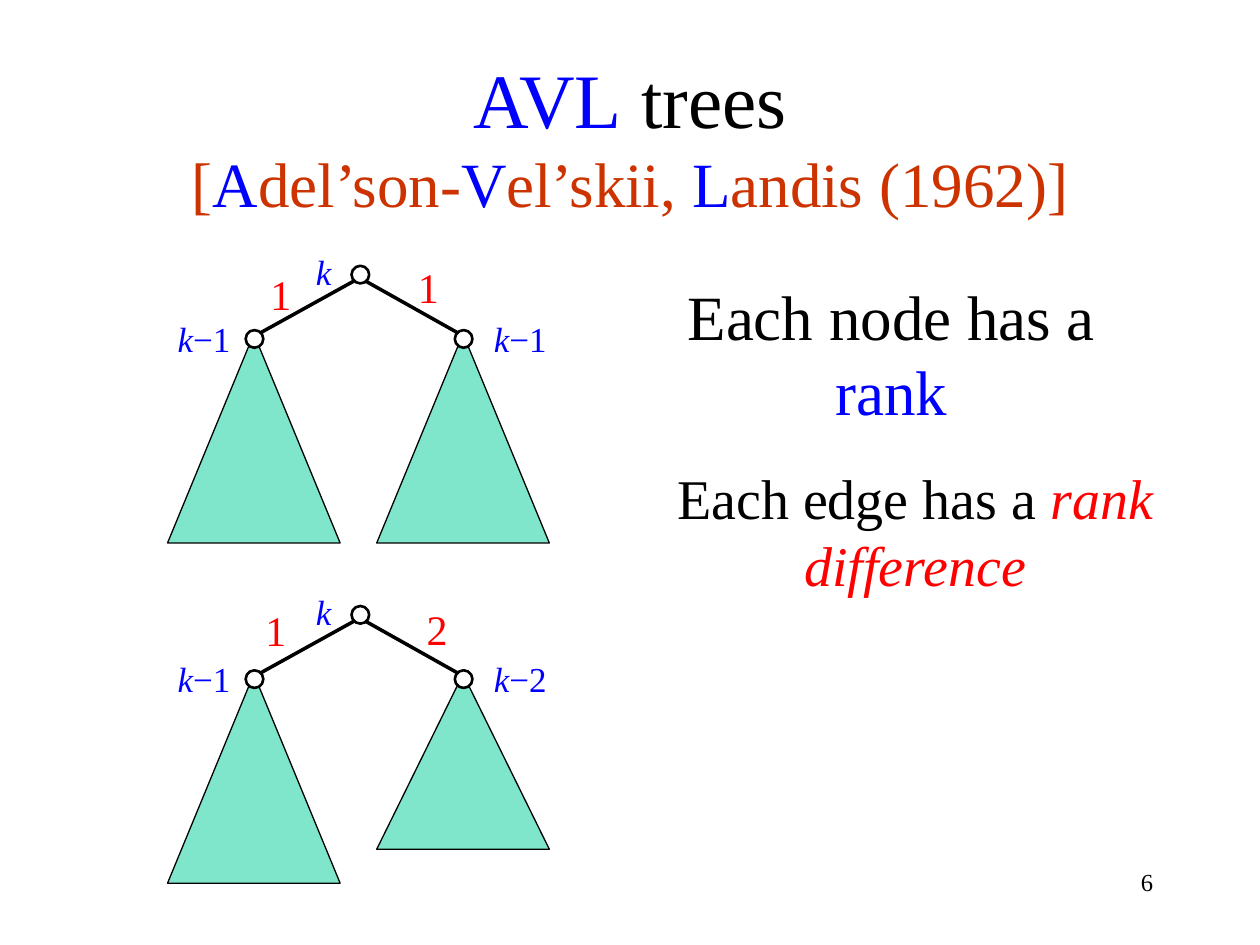
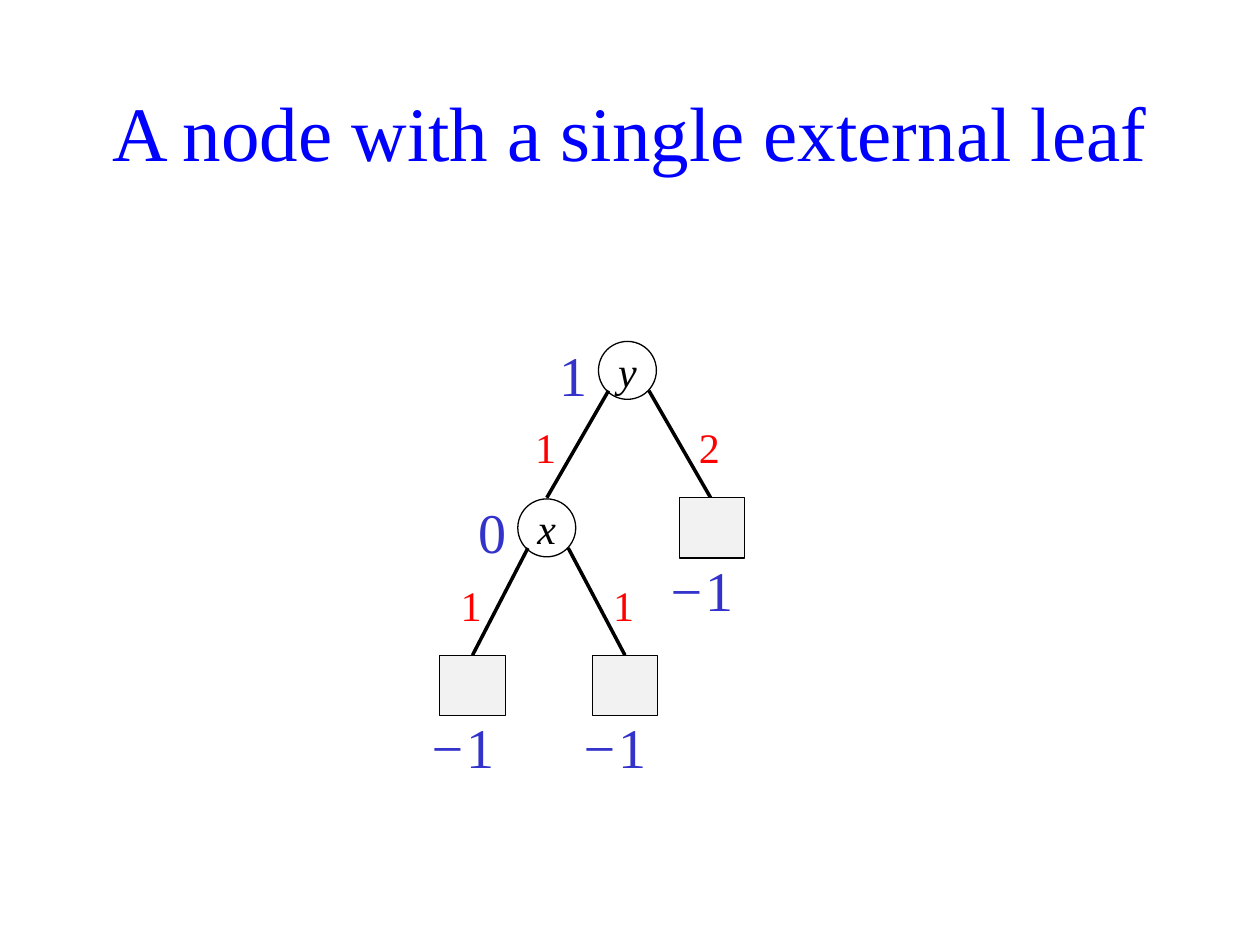
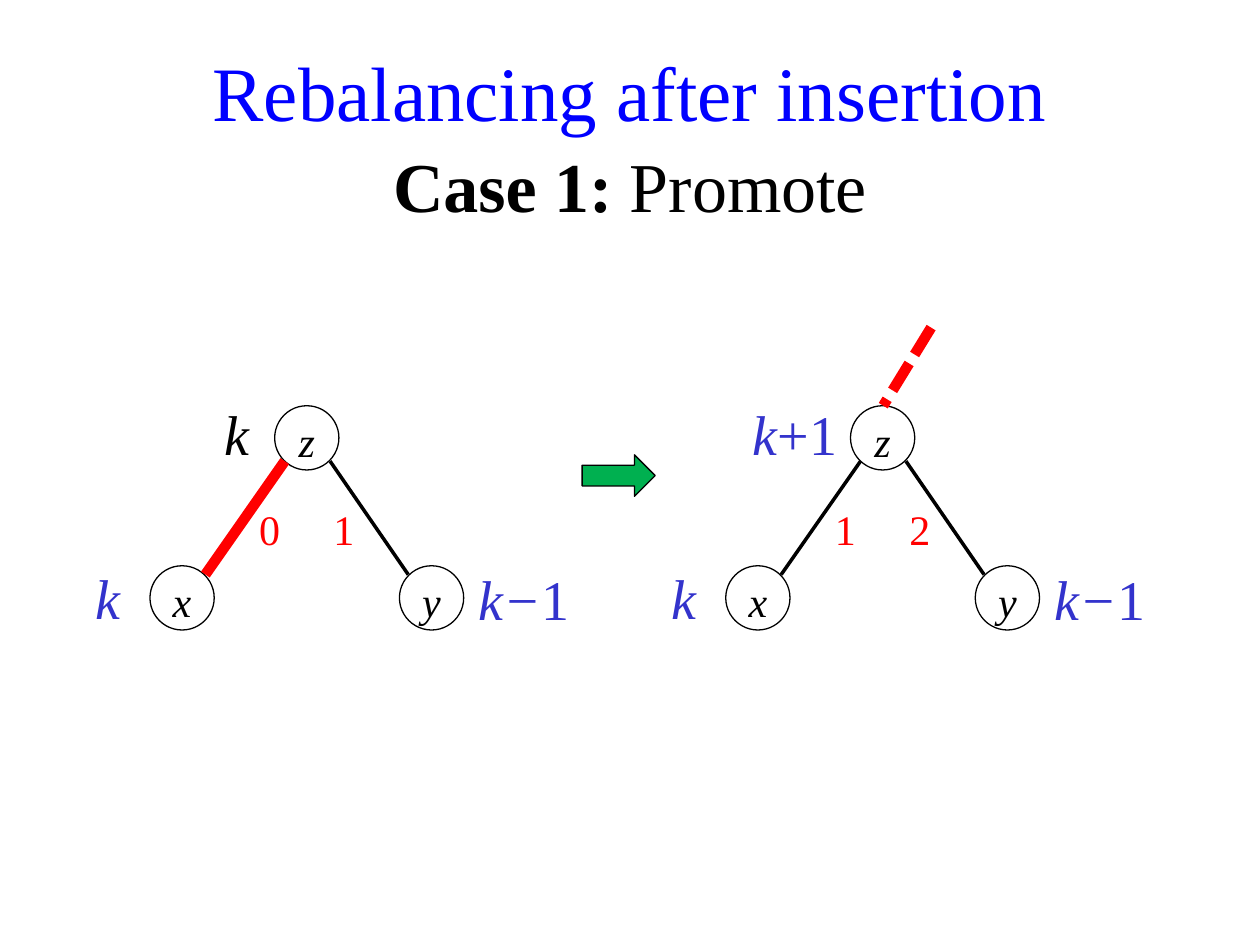
from dataclasses import dataclass
from itertools import groupby

from lxml import etree
from pptx import Presentation
from pptx.dml.color import RGBColor
from pptx.enum.dml import MSO_LINE
from pptx.enum.shapes import MSO_CONNECTOR, MSO_SHAPE
from pptx.enum.text import MSO_ANCHOR, MSO_AUTO_SIZE, PP_ALIGN
from pptx.oxml.ns import qn
from pptx.util import Inches, Pt


@dataclass(frozen=True)
class Theme:
    font: str = "Times New Roman"
    black: str = "000000"
    white: str = "FFFFFF"
    blue: str = "0000FF"
    rank: str = "3333CC"
    red: str = "FF0000"
    brick: str = "CC3300"
    subtree: str = "00CC99"
    leaf: str = "F2F2F2"
    arrow: str = "00B050"
    title: int = 44
    subtitle: int = 40
    statement: int = 36
    large: int = 32
    medium: int = 24
    small: int = 20
    footer: int = 14
    outline: float = 0.75
    ring: float = 1.5
    edge: float = 2
    heavy_edge: float = 6


THEME = Theme()


def box(left, top, width, height):
    return [Inches(length) for length in (left, top, width, height)]


def write(frame, runs, size, color=THEME.black, align=PP_ALIGN.CENTER):
    """Fill a frame with (text, format) runs; a line feed becomes a line break."""
    paragraph = frame.paragraphs[0]
    paragraph.alignment = align
    for text, changes in runs:
        if text == "\n":
            paragraph.add_line_break()
            continue
        run = paragraph.add_run()
        run.text = text
        values = {"name": THEME.font, "size": size, "color": color, **changes}
        run.font.color.rgb = RGBColor.from_string(values.pop("color"))
        values["size"] = Pt(values["size"])
        for attribute, value in values.items():
            setattr(run.font, attribute, value)


def math(text, italic="k−"):
    """Split a formula into upright and italic runs."""
    return [("".join(part), {"italic": slanted})
            for slanted, part in groupby(text, lambda symbol: symbol in italic)]


def add_text(shapes, bounds, runs, size, color=THEME.black, align=PP_ALIGN.CENTER):
    frame = shapes.add_textbox(*box(*bounds)).text_frame
    frame.word_wrap = True
    write(frame, runs, size, color, align)


def add_label(shapes, center, top, runs, size, color, width=0.64):
    height = round(size * 1.2 / 72 + 0.1, 2)
    add_text(shapes, (center - width / 2, top, width, height), runs, size, color)


def add_title(slide, top, height, runs):
    title = slide.shapes.title
    title.left, title.top, title.width, title.height = box(0, top, 10, height)
    frame = title.text_frame
    for attribute, value in {"auto_size": MSO_AUTO_SIZE.NONE, "word_wrap": True,
                             "vertical_anchor": MSO_ANCHOR.TOP}.items():
        setattr(frame, attribute, value)
    write(frame, runs, THEME.title, THEME.blue)


def add_figure(shapes, kind, bounds, fill=None, weight=THEME.outline, alpha=None):
    figure = shapes.add_shape(kind, *box(*bounds))
    figure.shadow.inherit = False
    if fill:
        figure.fill.solid()
        figure.fill.fore_color.rgb = RGBColor.from_string(fill)
    else:
        figure.fill.background()
    if alpha:
        color = figure._element.spPr.find(qn("a:solidFill"))[0]
        etree.SubElement(color, qn("a:alpha"), val=str(alpha * 1000))
    figure.line.color.rgb = RGBColor.from_string(THEME.black)
    figure.line.width = Pt(weight)
    return figure


def add_edge(shapes, start, end, color=THEME.black, weight=THEME.edge, dash=None):
    edge = shapes.add_connector(MSO_CONNECTOR.STRAIGHT,
                                *[Inches(length) for length in (*start, *end)])
    edge.line.color.rgb = RGBColor.from_string(color)
    edge.line.width = Pt(weight)
    if dash:
        edge.line.dash_style = dash
    etree.SubElement(edge._element.spPr, qn("a:effectLst"))


def add_node(shapes, left, top, diameter, name, anchor):
    node = add_figure(shapes, MSO_SHAPE.OVAL, (left, top, diameter, diameter))
    frame = node.text_frame
    for side in ("left", "top", "right", "bottom"):
        setattr(frame, f"margin_{side}", 0)
    frame.vertical_anchor = anchor
    write(frame, [(name, {"italic": True})], THEME.medium)


def add_ranked_tree(slide, x, y, right_rank, right_height, differences):
    """A root with two subtrees; differences holds (text, centre, top) per edge."""
    shapes = slide.shapes.add_group_shape().shapes
    for left, height in ((0.03, 1.66), (1.69, right_height)):
        add_figure(shapes, MSO_SHAPE.ISOSCELES_TRIANGLE,
                   (x + left, y + 0.71, 1.37, height), THEME.subtree, alpha=50)
    for start, end in ((1.51, 0.77), (1.6, 2.33)):
        add_edge(shapes, (x + start, y + 0.29), (x + end, y + 0.7))
    for left, top in ((0.65, 0.68), (1.49, 0.17), (2.31, 0.68)):
        add_figure(shapes, MSO_SHAPE.OVAL, (x + left, y + top, 0.14, 0.14),
                   THEME.white, THEME.ring)
    for rank, center, top in (("k", 1.27, 0), ("k−1", 0.32, 0.53),
                              (right_rank, 2.83, 0.53)):
        add_label(shapes, x + center, y + top, math(rank, "k"), THEME.small, THEME.blue)
    for difference, center, top in differences:
        add_label(shapes, x + center, y + top, math(difference), THEME.medium, THEME.red)


def build_avl_slide(slide):
    initial, rest = {"color": THEME.blue}, {"color": THEME.brick}
    names = [("[", rest), ("A", initial), ("del’son-", rest), ("V", initial),
             ("el’skii, ", rest), ("L", initial), ("andis (1962)]", rest)]
    add_title(slide, 0.36, 1.45, [
        ("AVL", {}), (" trees", {"color": THEME.black}), ("\n", {}),
        *[(text, {"size": THEME.statement, **look}) for text, look in names]])
    add_ranked_tree(slide, 1.3, 1.94, "k−1", 1.66, (("1", 0.93, 0.14), ("1", 2.1, 0.09)))
    add_ranked_tree(slide, 1.3, 4.64, "k−2", 1.39, (("1", 0.89, 0.11), ("2", 2.17, 0.1)))
    add_text(slide.shapes, (5.11, 2.15, 3.93, 1.31),
             [("Each node has a ", {}), ("rank", {"color": THEME.blue})], THEME.statement)
    add_text(slide.shapes, (4.69, 3.63, 5.15, 1.17),
             [("Each edge has a ", {}),
              ("rank difference", {"color": THEME.red, "italic": True})], THEME.large)
    add_text(slide.shapes, (7.17, 6.83, 2.08, 0.5), [("6", {})], THEME.footer,
             align=PP_ALIGN.RIGHT)


def add_internal_node(shapes, x, y, name, rank, children):
    """A node and its edges; children holds (edge end offset, rank difference)."""
    add_node(shapes, x, y, 0.46, name, MSO_ANCHOR.MIDDLE)
    add_label(shapes, x - 0.2, y - 0.06, math(rank), THEME.large, THEME.rank)
    for start, (end, difference) in zip((0.08, 0.4), children):
        add_edge(shapes, (x + start, y + 0.39), (x + end, y + 1.24))
        add_label(shapes, x + end - 0.01, y + 0.59, math(difference),
                  THEME.medium, THEME.red)


def add_external_leaf(shapes, center, top):
    add_figure(shapes, MSO_SHAPE.RECTANGLE, (center - 0.26, top, 0.52, 0.48), THEME.leaf)
    add_label(shapes, center - 0.09, top + 0.41, math("−1"), THEME.large, THEME.rank, 0.73)


def build_leaf_slide(slide):
    add_title(slide, 0.62, 0.84, [("A node with a single external leaf", {})])
    add_internal_node(slide.shapes, 4.75, 2.71, "y", "1", ((-0.41, "1"), (0.89, "2")))
    add_internal_node(slide.shapes, 4.11, 3.96, "x", "0", ((-0.36, "1"), (0.85, "1")))
    for center, top in ((5.65, 3.95), (3.75, 5.2), (4.96, 5.2)):
        add_external_leaf(slide.shapes, center, top)


def add_insertion_tree(slide, x, y, root_rank, differences, left_edge):
    """Root z over x and y; root_rank holds (text, centre, colour)."""
    shapes = slide.shapes.add_group_shape().shapes
    for name, left, top in (("z", 1.71, 0.1), ("x", 0.72, 1.37), ("y", 2.7, 1.37)):
        add_node(shapes, x + left, y + top, 0.51, name, MSO_ANCHOR.TOP)
    add_edge(shapes, (x + 1.16, y + 1.44), (x + 1.79, y + 0.54), **left_edge)
    add_edge(shapes, (x + 2.15, y + 0.54), (x + 2.77, y + 1.44))
    text, center, color = root_rank
    for rank, middle, top, shade in ((text, center, 0, color),
                                     ("k", 0.39, 1.3, THEME.rank),
                                     ("k−1", 3.69, 1.31, THEME.rank)):
        add_label(shapes, x + middle, y + top, math(rank), THEME.large, shade, 1.07)
    for difference, middle in zip(differences, (1.67, 2.26)):
        add_label(shapes, x + middle, y + 0.83, math(difference), THEME.medium, THEME.red)


def build_promote_slide(slide):
    highlight = {"color": THEME.red, "weight": THEME.heavy_edge}
    add_title(slide, 0.3, 1.02, [("Rebalancing after insertion", {})])
    add_text(slide.shapes, (0, 1.08, 10, 0.77),
             [("Case 1:", {"bold": True}), (" Promote", {})], THEME.subtitle)
    add_figure(slide.shapes, MSO_SHAPE.RIGHT_ARROW, (4.62, 3.61, 0.58, 0.33), THEME.arrow)
    add_insertion_tree(slide, 0.47, 3.12, ("k", 1.41, THEME.black), "01", highlight)
    add_insertion_tree(slide, 5.04, 3.12, ("k+1", 1.27, THEME.rank), "12", {})
    add_edge(slide.shapes, (7.39, 2.6), (7.01, 3.22), dash=MSO_LINE.SQUARE_DOT, **highlight)


def main():
    deck = Presentation()
    deck.slide_width, deck.slide_height = Inches(10), Inches(7.5)
    title_only = deck.slide_layouts[5]
    for build in (build_avl_slide, build_leaf_slide, build_promote_slide):
        build(deck.slides.add_slide(title_only))
    deck.save("out.pptx")


if __name__ == "__main__":
    main()
